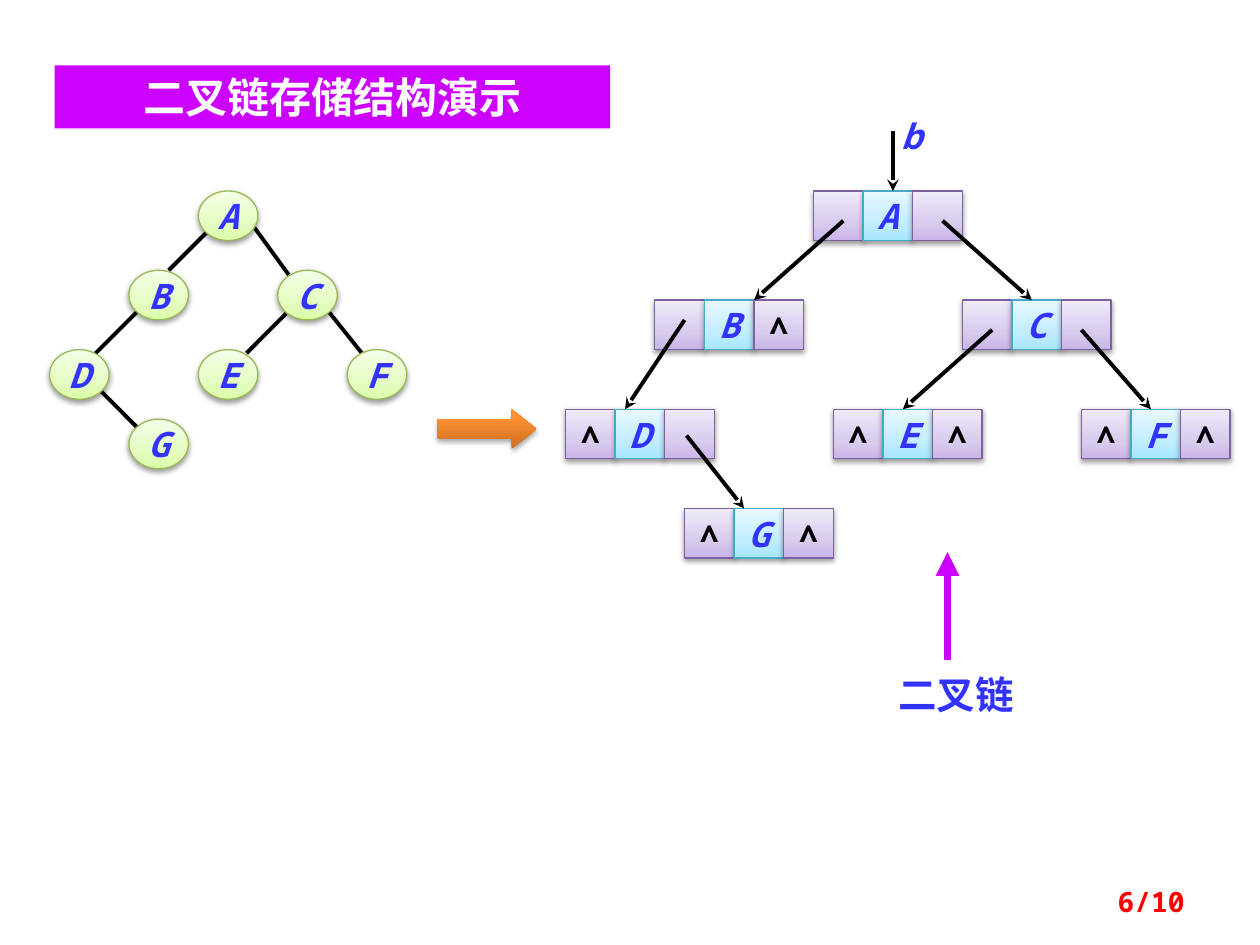
from dataclasses import dataclass

from lxml.etree import SubElement
from pptx import Presentation
from pptx.dml.color import RGBColor
from pptx.enum.shapes import MSO_CONNECTOR, MSO_SHAPE
from pptx.enum.text import MSO_ANCHOR, PP_ALIGN
from pptx.oxml.ns import qn
from pptx.util import Cm, Pt

COLUMNS, ROWS = 25.4, 19.05
MONO, CJK = "Noto Sans Mono", "Noto Sans CJK SC"
BLUE = RGBColor(0x33, 0x33, 0xFF)
BLACK = RGBColor(0, 0, 0)
WHITE = RGBColor(0xFF, 0xFF, 0xFF)
RED = RGBColor(0xFF, 0, 0)
PURPLE = RGBColor(0xCC, 0, 0xFF)
GREEN_EDGE = RGBColor(0x98, 0xB9, 0x55)
VIOLET_EDGE = RGBColor(0x7D, 0x60, 0xA0)
CYAN_EDGE = RGBColor(0x46, 0xAA, 0xC5)
GREEN_STOPS = ((0, RGBColor(0xDA, 0xFD, 0xA7)), (35, RGBColor(0xE4, 0xFC, 0xC2)),
               (100, RGBColor(0xF5, 0xFF, 0xE7)))
VIOLET_STOPS = ((0, RGBColor(0xC9, 0xB5, 0xE8)), (35, RGBColor(0xD8, 0xCB, 0xEE)),
                (100, RGBColor(0xF0, 0xEA, 0xF9)))
CYAN_STOPS = ((0, RGBColor(0xA7, 0xE6, 0xFF)), (35, RGBColor(0xC1, 0xED, 0xFF)),
              (100, RGBColor(0xE7, 0xF8, 0xFF)))
ORANGE_STOPS = ((0, RGBColor(0xCC, 0x6E, 0x20)), (80, RGBColor(0xFF, 0x90, 0x34)),
                (100, RGBColor(0xFF, 0x91, 0x36)))


@dataclass
class Box:
    column: float
    row: float
    columns: float
    rows: float

    def inner(self, column, row, columns, rows):
        return Box(self.column + column, self.row + row, columns, rows)

    def point(self, column, row):
        return Cm(self.column + column), Cm(self.row + row)

    def frame(self):
        return Cm(self.column), Cm(self.row), Cm(self.columns), Cm(self.rows)


def add_color(parent, color, alpha=None):
    tint = SubElement(parent, qn("a:srgbClr"), val=str(color))
    if alpha:
        SubElement(tint, qn("a:alpha"), val=str(alpha * 1000))


def write(holder, text, size, color, font=MONO, bold=True, italic=False,
          align=PP_ALIGN.CENTER, anchor=MSO_ANCHOR.MIDDLE, wrap=True):
    frame = holder.text_frame
    frame.word_wrap = wrap
    frame.vertical_anchor = anchor
    paragraph = frame.paragraphs[0]
    paragraph.alignment = align
    run = paragraph.add_run()
    run.text = text
    run.font.size = Pt(size)
    run.font.bold = bold
    run.font.italic = italic
    run.font.name = font
    run.font.color.rgb = color
    SubElement(run.font._element, qn("a:ea"), typeface=CJK)


def add_glossy(slide, preset, box, stops, edge=None, opacity=38):
    shape = slide.shapes.add_shape(preset, *box.frame())
    shape.fill.gradient()
    shape.fill.gradient_angle = 90
    stop_list = shape._element.spPr.find(qn("a:gradFill")).find(qn("a:gsLst"))
    for old_stop in list(stop_list):
        stop_list.remove(old_stop)
    for percent, color in stops:
        add_color(SubElement(stop_list, qn("a:gs"), pos=str(percent * 1000)), color)
    if edge is None:
        shape.line.fill.background()
    else:
        shape.line.color.rgb = edge
        shape.line.width = Pt(0.75)
    shape.shadow.inherit = False
    effects = shape._element.spPr.find(qn("a:effectLst"))
    shadow = SubElement(effects, qn("a:outerShdw"), blurRad=str(Pt(3.1)),
                        dist=str(Pt(1.6)), dir="5400000", rotWithShape="0")
    add_color(shadow, BLACK, opacity)
    return shape


def add_line(slide, start, end, color=BLACK, width=2.25, head=None):
    line = slide.shapes.add_connector(MSO_CONNECTOR.STRAIGHT, *start, *end)
    line.line.color.rgb = color
    line.line.width = Pt(width)
    if head:
        SubElement(line.line._get_or_add_ln(), qn("a:tailEnd"), type=head)
    SubElement(line._element.spPr, qn("a:effectLst"))


def add_title(slide, box):
    banner = slide.shapes.add_shape(MSO_SHAPE.RECTANGLE, *box.frame())
    banner.fill.solid()
    banner.fill.fore_color.rgb = PURPLE
    banner.line.fill.background()
    banner.shadow.inherit = False
    write(banner, "二叉链存储结构演示", 24, WHITE)


def add_tree(slide, box):
    branches = [(1, 4, 1.8, 4.8), (3.2, 0.8, 2.4, 1.6), (4.08, 0.67, 4.82, 1.69),
                (1.8, 2.4, 0.8, 3.4), (4.77, 2.47, 3.97, 3.27), (5.6, 2.4, 6.4, 3.4)]
    for x1, y1, x2, y2 in branches:
        add_line(slide, box.point(x1, y1), box.point(x2, y2))
    nodes = {"A": (3, 0), "B": (1.6, 1.6), "C": (4.6, 1.6), "D": (0, 3.2),
             "E": (3, 3.2), "G": (1.6, 4.6), "F": (6, 3.2)}
    for letter, (column, row) in nodes.items():
        node = add_glossy(slide, MSO_SHAPE.OVAL, box.inner(column, row, 1.2, 1),
                          GREEN_STOPS, GREEN_EDGE)
        write(node, letter, 20, BLUE, italic=True, wrap=False)


def add_record(slide, box, left, letter, right):
    for index, text in enumerate((left, letter, right)):
        is_data = index == 1
        field = add_glossy(slide, MSO_SHAPE.RECTANGLE, box.inner(index, 0, 1, 1),
                           CYAN_STOPS if is_data else VIOLET_STOPS,
                           CYAN_EDGE if is_data else VIOLET_EDGE)
        if text:
            write(field, text, 20 if is_data else 18, BLUE if is_data else BLACK,
                  italic=is_data, wrap=False)


def add_linked_records(slide, box):
    records = [(5, 0, "", "A", ""), (1.8, 2.2, "", "B", "∧"), (0, 4.4, "∧", "D", ""),
               (2.4, 6.4, "∧", "G", "∧"), (8, 2.2, "", "C", ""),
               (5.4, 4.4, "∧", "E", "∧"), (10.4, 4.4, "∧", "F", "∧")]
    for column, row, left, letter, right in records:
        add_record(slide, box.inner(column, row, 3, 1), left, letter, right)
    pointers = [(5.6, 0.6, 3.8, 2.2), (2.4, 2.6, 1.2, 4.4), (7.6, 0.6, 9.4, 2.2),
                (2.44, 4.93, 3.6, 6.4), (8.6, 2.8, 6.8, 4.4), (10.4, 2.8, 11.8, 4.4),
                (6.6, -1.2, 6.6, 0)]
    for x1, y1, x2, y2 in pointers:
        add_line(slide, box.point(x1, y1), box.point(x2, y2), head="stealth")
    root_name = slide.shapes.add_textbox(*box.inner(6.08, -1.66, 1.8, 1.1).frame())
    write(root_name, "b", 20, BLUE, italic=True)


def add_conversion_arrow(slide, box):
    arrow = add_glossy(slide, MSO_SHAPE.RIGHT_ARROW, box, ORANGE_STOPS, opacity=35)
    arrow.adjustments[0] = 0.5
    arrow.adjustments[1] = 0.63


def add_caption(slide, box):
    label = slide.shapes.add_textbox(*box.inner(0, 2.26, box.columns, 1.2).frame())
    write(label, "二叉链", 22, BLUE, font=CJK)
    add_line(slide, box.point(1.73, 2.18), box.point(1.73, 0), PURPLE, 4.5, "triangle")


def add_page_number(slide, box):
    number = slide.shapes.add_textbox(*box.frame())
    write(number, "6/10", 16, RED, align=PP_ALIGN.RIGHT)


def main():
    deck = Presentation()
    deck.slide_width, deck.slide_height = Cm(COLUMNS), Cm(ROWS)
    slide = deck.slides.add_slide(deck.slide_layouts[6])
    add_tree(slide, Box(1, 3.85, 7.2, 5.6))
    add_conversion_arrow(slide, Box(8.82, 8.25, 2, 0.8))
    add_linked_records(slide, Box(11.4, 3.85, 13.4, 7.4))
    add_title(slide, Box(1.1, 1.32, 11.2, 1.27))
    add_caption(slide, Box(17.37, 11.13, 3.81, 3.46))
    add_page_number(slide, Box(18.2, 17.65, 5.93, 1.02))
    deck.save("out.pptx")


if __name__ == "__main__":
    main()
